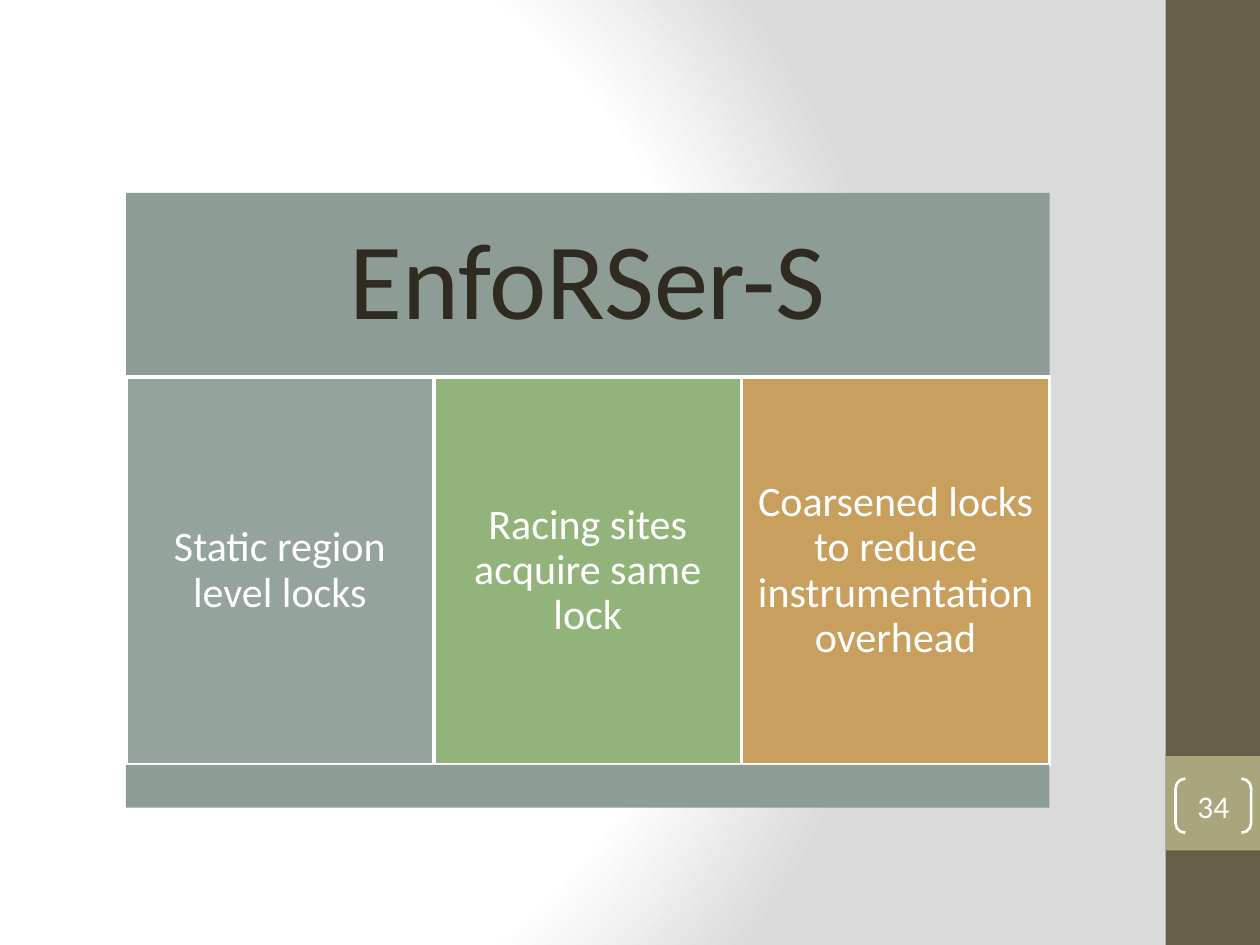
from pptx import Presentation
from pptx.dml.color import RGBColor
from pptx.enum.shapes import MSO_SHAPE as Shape
from pptx.enum.text import MSO_ANCHOR as Anchor, MSO_AUTO_SIZE as AutoSize, PP_ALIGN as Align
from pptx.oxml import parse_xml
from pptx.oxml.ns import nsdecls
from pptx.util import Inches, Pt

FONT = "Calibri"
COLORS = {
    "white": "FFFFFF", "edge": "DADADA", "dark": "2F2B20",
    "sidebar": "675E47", "badge": "A9A57C", "band": "8E9C96",
    "static": "95A39D", "racing": "92B47A", "coarse": "C89F5D",
}
COLUMNS = [
    ("Static region level locks", "static"),
    ("Racing sites acquire same lock", "racing"),
    ("Coarsened locks to reduce instrumentation overhead", "coarse"),
]
SLIDE_W, SLIDE_H = 10, 7.5
SIDEBAR_W = 0.75
LEFT, WIDTH = 1, 7.33
HEADER_TOP, BODY_TOP, FOOTER_TOP, BOTTOM = 1.53, 2.99, 6.07, 6.41


def rgb(name):
    return RGBColor.from_string(COLORS[name])


def set_background(s):
    """Radial gradient, white inside and grey towards the right."""
    stops = "".join(
        f'<a:gs pos="{pos * 1000}"><a:srgbClr val="{COLORS[name]}"/></a:gs>'
        for pos, name in [(0, "white"), (75, "white"), (100, "edge")])
    bg = parse_xml(
        f'<p:bg {nsdecls("p", "a")}><p:bgPr><a:gradFill rotWithShape="1">'
        f'<a:gsLst>{stops}</a:gsLst><a:path path="circle">'
        '<a:fillToRect l="20000" t="50000" r="100000" b="50000"/></a:path>'
        '</a:gradFill><a:effectLst/></p:bgPr></p:bg>')
    s._element.cSld.insert(0, bg)


def add_box(s, box, fill=None, line=None, line_width=2, kind=Shape.RECTANGLE):
    sp = s.shapes.add_shape(kind, *map(Inches, box))
    sp.shadow.inherit = False
    if fill:
        sp.fill.solid()
        sp.fill.fore_color.rgb = rgb(fill)
    else:
        sp.fill.background()
    if line:
        sp.line.color.rgb = rgb(line)
        sp.line.width = Pt(line_width)
    else:
        sp.line.fill.background()
    return sp


def set_text(sp, text, size, color="white", inset=0.1, spacing=0.9):
    tf = sp.text_frame
    tf.text = text
    tf.word_wrap = True
    tf.auto_size = AutoSize.NONE
    tf.vertical_anchor = Anchor.MIDDLE
    tf.margin_left = tf.margin_right = tf.margin_top = tf.margin_bottom = Inches(inset)
    p = tf.paragraphs[0]
    p.alignment = Align.CENTER
    p.line_spacing = spacing
    font = p.runs[0].font
    font.name, font.size, font.color.rgb = FONT, Pt(size), rgb(color)


def add_sidebar(s, number):
    left = SLIDE_W - SIDEBAR_W
    add_box(s, (left, 0, SIDEBAR_W, SLIDE_H), "sidebar")
    add_box(s, (left, 6, SIDEBAR_W, SIDEBAR_W), "badge")
    bracket = add_box(s, (9.33, 6.18, 0.6, 0.43), line="white", line_width=1.5,
                      kind=Shape.DOUBLE_BRACKET)
    bracket.adjustments[0] = 0.18
    set_text(bracket, number, 18, inset=0, spacing=1)


def format_title(title, text):
    title.left, title.top = Inches(LEFT), Inches(HEADER_TOP)
    title.width, title.height = Inches(WIDTH), Inches(BODY_TOP - HEADER_TOP)
    title.fill.solid()
    title.fill.fore_color.rgb = rgb("band")
    set_text(title, text, 62, "dark", inset=0.26)


def add_columns(s):
    width = WIDTH / len(COLUMNS)
    for i, (text, fill) in enumerate(COLUMNS):
        box = (LEFT + i * width, BODY_TOP, width, FOOTER_TOP - BODY_TOP)
        set_text(add_box(s, box, fill, "white"), text, 24)


def main():
    prs = Presentation()
    prs.slide_width, prs.slide_height = Inches(SLIDE_W), Inches(SLIDE_H)
    s = prs.slides.add_slide(prs.slide_layouts[5])
    set_background(s)
    add_sidebar(s, "34")
    format_title(s.shapes.title, "EnfoRSer-S")
    add_columns(s)
    add_box(s, (LEFT, FOOTER_TOP, WIDTH, BOTTOM - FOOTER_TOP), "band")
    prs.save("out.pptx")


if __name__ == "__main__":
    main()
